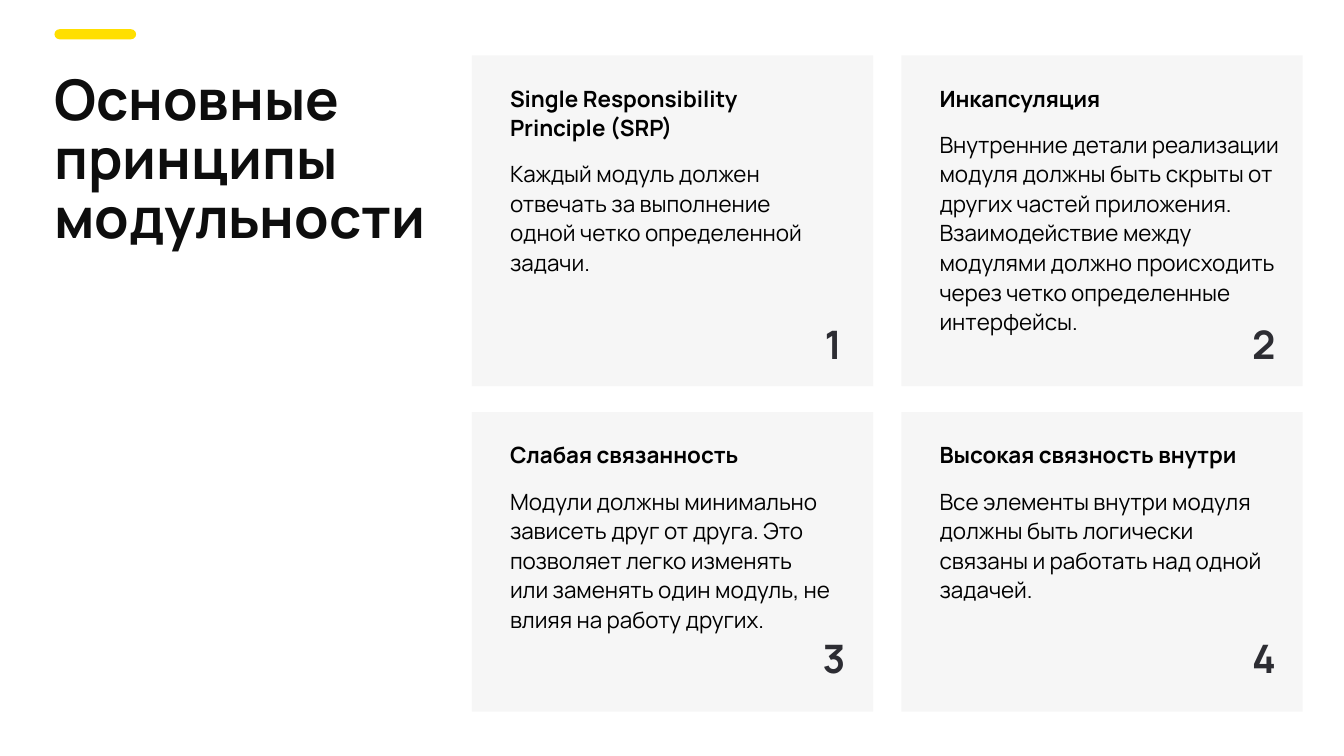
from dataclasses import dataclass

from pptx import Presentation
from pptx.dml.color import RGBColor
from pptx.enum.shapes import MSO_SHAPE
from pptx.enum.text import MSO_AUTO_SIZE
from pptx.util import Inches, Pt

RECTANGLE = MSO_SHAPE.RECTANGLE
ROUNDED = MSO_SHAPE.ROUNDED_RECTANGLE
GROW = MSO_AUTO_SIZE.SHAPE_TO_FIT_TEXT
FONT = "Manrope"

# Card grid, in inches
CARD_WIDTH = 3.98
COLUMN_LEFTS = (4.68, 8.94)
ROW_TOPS = (0.55, 4.09)
ROW_HEIGHTS = (3.28, 2.97)
NUMBER_TOPS = (3.13, 6.24)


@dataclass
class Format:
    size: int
    color: str
    bold: bool = True


@dataclass
class Principle:
    heading: str
    body: str
    text_height: float
    text_width: float = 3.42
    number_offset: float = 3.38


HEADING = Format(16, "000000")
BODY = Format(16, "000000", bold=False)
NUMBER = Format(28, "2D2D33")
TITLE = Format(40, "0D0D0D")

PRINCIPLES = [
    Principle(
        "Single Responsibility Principle (SRP)",
        "Каждый модуль должен отвечать за выполнение одной четко определенной задачи.",
        2.04, number_offset=3.4),
    Principle(
        "Инкапсуляция",
        "Внутренние детали реализации модуля должны быть скрыты от других частей "
        "приложения. Взаимодействие между модулями должно происходить через четко "
        "определенные интерфейсы.",
        2.64, text_width=3.59),
    Principle(
        "Слабая связанность",
        "Модули должны минимально зависеть друг от друга. Это позволяет легко изменять "
        "или заменять один модуль, не влияя на работу других.",
        2.04),
    Principle(
        "Высокая связность внутри",
        "Все элементы внутри модуля должны быть логически связаны и работать над одной "
        "задачей.",
        1.75),
]


def rgb(value: str) -> RGBColor:
    return RGBColor.from_string(value)


def add_block(slide, kind, left: float, top: float, width: float, height: float, color: str):
    block = slide.shapes.add_shape(kind, Inches(left), Inches(top), Inches(width), Inches(height))
    block.shadow.inherit = False
    block.fill.solid()
    block.fill.fore_color.rgb = rgb(color)
    block.line.fill.background()
    return block


def add_text(slide, left: float, top: float, width: float, height: float,
             lines: list[tuple[str, Format]], spacing: dict, frame_values: dict) -> None:
    box = slide.shapes.add_textbox(Inches(left), Inches(top), Inches(width), Inches(height))
    frame = box.text_frame
    for name, value in {"word_wrap": True, **frame_values}.items():
        setattr(frame, name, value)
    for index, (text, style) in enumerate(lines):
        paragraph = frame.add_paragraph() if index else frame.paragraphs[0]
        for name, value in spacing.items():
            setattr(paragraph, name, value)
        run = paragraph.add_run()
        run.text = text
        for name, value in {"name": FONT, "size": Pt(style.size), "bold": style.bold}.items():
            setattr(run.font, name, value)
        run.font.color.rgb = rgb(style.color)


def add_card(slide, index: int, principle: Principle) -> None:
    row, column = divmod(index, len(COLUMN_LEFTS))
    left, top = COLUMN_LEFTS[column], ROW_TOPS[row]
    add_block(slide, RECTANGLE, left, top, CARD_WIDTH, ROW_HEIGHTS[row], "F6F6F6")
    add_text(slide, left + 0.28, top + 0.215, principle.text_width, principle.text_height,
             [(principle.heading, HEADING), (principle.body, BODY)],
             {"line_spacing": 1.1, "space_after": Pt(12)}, {"auto_size": GROW})
    add_text(slide, left + principle.number_offset, NUMBER_TOPS[row], 0.35, 0.57,
             [(str(index + 1), NUMBER)], {}, {"auto_size": GROW})


def main() -> None:
    deck = Presentation()
    deck.slide_width, deck.slide_height = Inches(13.33), Inches(7.5)
    slide = deck.slides.add_slide(deck.slide_layouts[6])

    # Principle cards
    for index, principle in enumerate(PRINCIPLES):
        add_card(slide, index, principle)

    # Title and accent bar
    no_margins = {f"margin_{side}": 0 for side in ("left", "top", "right", "bottom")}
    add_text(slide, 0.54, 0.72, 3.68, 1.15, [("Основные принципы модульности", TITLE)],
             {"line_spacing": Pt(42.2)}, no_margins)
    accent = add_block(slide, ROUNDED, 0.54, 0.29, 0.81, 0.1, "FFDF00")
    accent.adjustments[0] = 0.5

    deck.save("out.pptx")


if __name__ == "__main__":
    main()
